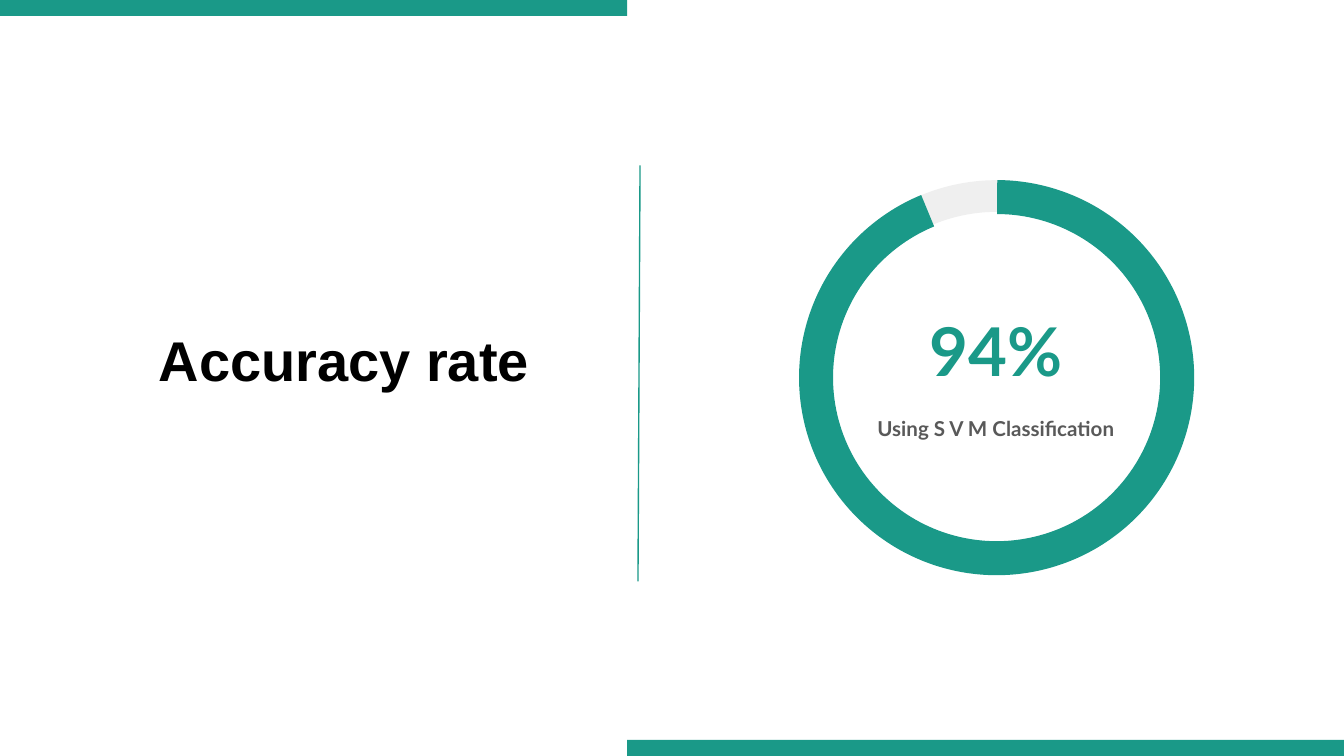
import pptx
import pptx.dml.color
import pptx.enum.shapes
import pptx.enum.text
import pptx.oxml
import pptx.util

Pt = pptx.util.Pt
MSO_SHAPE = pptx.enum.shapes.MSO_SHAPE
ALIGN = pptx.enum.text.PP_ALIGN

THEME = {
    "teal": "1A9988", "gray": "EFEFEF", "text": "595959", "black": "000000",
    "heading_font": "Arial", "body_font": "Lato",
    "title_size": 30, "figure_size": 36, "caption_size": 11,
}
WIDTH, HEIGHT, BAR_HEIGHT = 720, 405, 8.6

# Content: placeholder index, text, box, font, size, colour, alignment,
# line spacing, space after
TEXTS = [
    (0, "Accuracy rate", (77.8, 163.4, 289.4, 64.1), "heading_font",
     "title_size", "black", ALIGN.LEFT, 1.1, 0),
    (1, "94%", (469.4, 151.9, 128.9, 50.4), "body_font",
     "figure_size", "teal", ALIGN.CENTER, 1.15, 0),
    (3, "Using S V M Classification", (456.5, 213.8, 154.1, 59.8), "body_font",
     "caption_size", "text", ALIGN.CENTER, 1.15, 16),
]
# Bars: left, right, top
BOTTOM = HEIGHT - BAR_HEIGHT
BARS = [(0.7, 30.2, 0), (336, WIDTH, BOTTOM), (0, 60, 0), (60, 336, 0)]
# Ring: start and end in degrees, thickness, rotation, colour
RING_BOX = (428.1, 96.5, 211.7, 211.7)
ARCS = [(43.8, 98.01, 0.08, 176.5, "gray"), (270.19, 247.55, 0.086, 0, "teal")]
DIVIDER = (342.9, 88.6, 341.8, 311.5)


def color(name):
    return pptx.dml.color.RGBColor.from_string(THEME[name])


def add_shape(slide, kind, box, fill):
    shape = slide.shapes.add_shape(kind, *map(Pt, box))
    shape.shadow.inherit = False
    shape.fill.solid()
    shape.fill.fore_color.rgb = color(fill)
    shape.line.fill.background()
    return shape


def fill_placeholder(shape, text, box, font, size, ink, align, spacing, after):
    shape.left, shape.top, shape.width, shape.height = map(Pt, box)
    frame = shape.text_frame
    frame.text = text
    frame.word_wrap = True
    frame.auto_size = pptx.enum.text.MSO_AUTO_SIZE.NONE
    frame.vertical_anchor = pptx.enum.text.MSO_ANCHOR.TOP
    frame.margin_left = frame.margin_right = Pt(7.2)
    frame.margin_top = frame.margin_bottom = Pt(7.2)
    paragraph = frame.paragraphs[0]
    paragraph.alignment = align
    paragraph.line_spacing = spacing
    paragraph.space_before, paragraph.space_after = Pt(0), Pt(after)
    paragraph.font.name = THEME[font]
    paragraph.font.size = Pt(THEME[size])
    paragraph.font.bold = True
    paragraph.font.color.rgb = color(ink)


def main():
    presentation = pptx.Presentation()
    presentation.slide_width, presentation.slide_height = Pt(WIDTH), Pt(HEIGHT)
    slide = presentation.slides.add_slide(presentation.slide_layouts[4])

    # Title, figure and caption; unused placeholders go
    placeholders = {shape.placeholder_format.idx: shape
                    for shape in slide.placeholders}
    for index, *details in TEXTS:
        fill_placeholder(placeholders.pop(index), *details)
    for shape in placeholders.values():
        shape.element.getparent().remove(shape.element)

    # Accuracy ring
    for start, end, thickness, rotation, fill in ARCS:
        arc = add_shape(slide, MSO_SHAPE.BLOCK_ARC, RING_BOX, fill)
        arc.rotation = rotation
        # Angles are stored in 60000ths of a degree, scaled by 100000
        for position, value in enumerate((start * 0.6, end * 0.6, thickness)):
            arc.adjustments[position] = value

    # Edge bars
    for left, right, top in BARS:
        add_shape(slide, MSO_SHAPE.RECTANGLE,
                  (left, top, right - left, BAR_HEIGHT), "teal")

    # Divider
    divider = slide.shapes.add_connector(
        pptx.enum.shapes.MSO_CONNECTOR.STRAIGHT, *map(Pt, DIVIDER))
    divider.line.color.rgb = color("teal")
    divider.line.width = Pt(0.75)
    divider.element.spPr.append(pptx.oxml.parse_xml(
        '<a:effectLst xmlns:a='
        '"http://schemas.openxmlformats.org/drawingml/2006/main"/>'))

    presentation.save("out.pptx")


if __name__ == "__main__":
    main()
